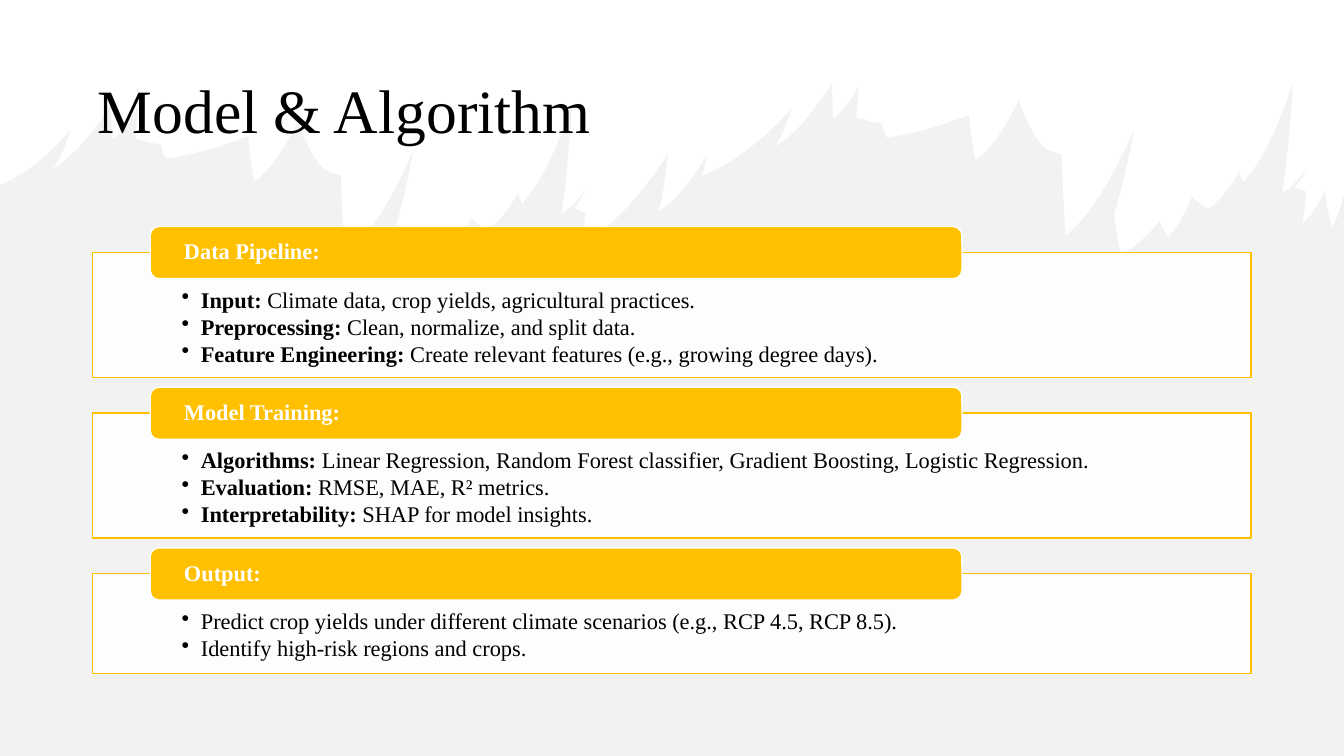
from lxml.etree import SubElement
from pptx import Presentation
from pptx.dml.color import RGBColor
from pptx.enum.shapes import MSO_SHAPE
from pptx.enum.text import MSO_ANCHOR, PP_ALIGN
from pptx.oxml.ns import qn
from pptx.util import Inches, Pt

WIDTH, HEIGHT = Inches(13.33), Inches(7.5)
COLUMN, ROW = WIDTH / 100, HEIGHT / 100  # a grid of 100 by 100
FONT = "Times New Roman"
COLORS = {"white": "FFFFFF", "black": "000000", "gold": "FFC000", "mist": "E7E6E6"}

# Each flame is its tip and the valley to its right, in columns and rows
FLAMES = [
    ((58.9, 14.4), (57.5, 19.6)),
    ((61.9, 11.0), (62.0, 15.7)),
    ((63.9, 11.3), (63.7, 15.5)),
    ((65.6, 16.3), (66.0, 18.2)),
    ((72.1, 15.2), (72.6, 21.2)),
    ((75.8, 13.3), (77.7, 19.5)),
    ((79.0, 20.4), (79.3, 31.2)),
    ((84.4, 17.1), (81.8, 33.3)),
    ((82.9, 28.3), (83.4, 33.6)),
    ((86.3, 29.2), (86.9, 31.3)),
    ((88.7, 26.0), (89.9, 27.6)),
    ((92.2, 22.7), (92.5, 24.1)),
    ((96.2, 11.1), (95.4, 25.5)),
    ((97.2, 22.3), (96.3, 24.7)),
    ((97.2, 25.3), (96.9, 29.5)),
]
SMALL_FLAMES = [((49.7, 20.4), (49.0, 28.0)), ((52.6, 20.5), (52.2, 23.3))]
REPEAT_SHIFT = (-53.64, 2.8)  # the same flames again, to the left and lower
SAG = 0.12                    # how far a side hangs, as a share of its height
SIDE_STEPS = 6

# Vertical rhythm of the sections, in rows
FIRST_TOP, SECTION_GAP = 33.4, 4.73
CARD_PADDING, ITEM_HEIGHT = 6.53, 3.33

SECTIONS = [
    ("Data Pipeline:", [
        ("Input:", " Climate data, crop yields, agricultural practices."),
        ("Preprocessing:", " Clean, normalize, and split data."),
        ("Feature Engineering:", " Create relevant features (e.g., growing degree days)."),
    ]),
    ("Model Training:", [
        ("Algorithms:", " Linear Regression, Random Forest classifier, "
                        "Gradient Boosting, Logistic Regression."),
        ("Evaluation:", " RMSE, MAE, R² metrics."),
        ("Interpretability:", " SHAP for model insights."),
    ]),
    ("Output:", [
        ("", "Predict crop yields under different climate scenarios "
             "(e.g., RCP 4.5, RCP 8.5)."),
        ("", "Identify high-risk regions and crops."),
    ]),
]


def place(left, top, width, height):
    return (round(left * COLUMN), round(top * ROW),
            round(width * COLUMN), round(height * ROW))


def paint(shape, fill, opacity=100, line=None):
    shape.shadow.inherit = False
    shape.fill.solid()
    shape.fill.fore_color.rgb = RGBColor.from_string(COLORS[fill])
    if opacity < 100:
        color = shape._element.spPr.find(qn("a:solidFill"))[0]
        SubElement(color, qn("a:alpha"), val=str(opacity * 1000))
    if line:
        shape.line.color.rgb = RGBColor.from_string(COLORS[line])
        shape.line.width = Pt(1)
    else:
        shape.line.fill.background()


def set_frame(shape, anchor, side, end):
    frame = shape.text_frame
    frame.word_wrap = True
    frame.vertical_anchor = anchor
    frame.margin_left = frame.margin_right = Inches(side)
    frame.margin_top = frame.margin_bottom = Inches(end)
    return frame


def write(para, text, size=16, color="black", bold=False):
    para.alignment = PP_ALIGN.LEFT
    para.line_spacing = 0.9
    para.font.size = Pt(size)
    span = para.add_run()
    span.text = text
    span.font.name = FONT
    span.font.size = Pt(size)
    span.font.bold = bold
    span.font.color.rgb = RGBColor.from_string(COLORS[color])


def add_bullet(para):
    settings = para._p.get_or_add_pPr()
    settings.set("marL", str(Inches(0.19)))
    settings.set("indent", str(-Inches(0.19)))
    SubElement(settings, qn("a:buChar"), char="•")


def shift_flames(flames, shift):
    return [tuple((x + shift[0], y + shift[1]) for x, y in flame) for flame in flames]


def sagging_side(start, end):
    """Points after start, up to end, on a side that hangs below a straight line."""
    (x1, y1), (x2, y2) = start, end
    points = []
    for step in range(1, SIDE_STEPS + 1):
        t = step / SIDE_STEPS
        hang = 4 * t * (1 - t) * SAG * abs(y2 - y1)
        points.append((x1 + t * (x2 - x1), y1 + t * (y2 - y1) + hang))
    return points


def add_splash(page):
    # Corners run from the left edge, over all flames, to the right edge
    flames = shift_flames(FLAMES, REPEAT_SHIFT) + SMALL_FLAMES + FLAMES
    corners = [(0, 24.5)] + [corner for flame in flames for corner in flame]
    corners += [(98.6, 25.2), (99.1, 30.1), (100, 25.7)]
    outline = corners[:1]
    for start, end in zip(corners, corners[1:]):
        outline += sagging_side(start, end)
    outline += [(100, 100), (0, 100)]

    points = [(round(x * COLUMN), round(y * ROW)) for x, y in outline]
    builder = page.shapes.build_freeform(*points[0])
    builder.add_line_segments(points[1:], close=True)
    paint(builder.convert_to_shape(), "mist", opacity=50)


def add_title(page, text):
    box = page.shapes.add_textbox(*place(6.9, 5.33, 86.25, 19.33))
    frame = set_frame(box, MSO_ANCHOR.MIDDLE, side=0.05, end=0.05)
    write(frame.paragraphs[0], text, size=44)


def add_section(page, top, height, heading, items):
    # Card behind
    card = page.shapes.add_shape(MSO_SHAPE.RECTANGLE, *place(6.9, top, 86.2, height))
    paint(card, "white", opacity=90, line="gold")

    # Bulleted text
    body = page.shapes.add_textbox(*place(12.62, top + 3.2, 74.7, height - 2.93))
    frame = set_frame(body, MSO_ANCHOR.TOP, side=0.12, end=0.12)
    for index, (label, detail) in enumerate(items):
        para = frame.add_paragraph() if index else frame.paragraphs[0]
        add_bullet(para)
        if index:
            para.space_before = Pt(2)
        if label:
            write(para, label, bold=True)
        write(para, detail)

    # Heading tab
    tab = page.shapes.add_shape(MSO_SHAPE.ROUNDED_RECTANGLE,
                                *place(11.18, top - 3.43, 60.4, 6.9))
    paint(tab, "gold", line="white")
    frame = set_frame(tab, MSO_ANCHOR.MIDDLE, side=0.31, end=0)
    write(frame.paragraphs[0], heading, color="white", bold=True)


def main():
    deck = Presentation()
    deck.slide_width, deck.slide_height = WIDTH, HEIGHT
    page = deck.slides.add_slide(deck.slide_layouts[6])
    add_splash(page)
    add_title(page, "Model & Algorithm")

    # Stacked sections, each as tall as its items need
    top = FIRST_TOP
    for heading, items in SECTIONS:
        height = CARD_PADDING + ITEM_HEIGHT * len(items)
        add_section(page, top, height, heading, items)
        top += height + SECTION_GAP
    deck.save("out.pptx")


if __name__ == "__main__":
    main()
